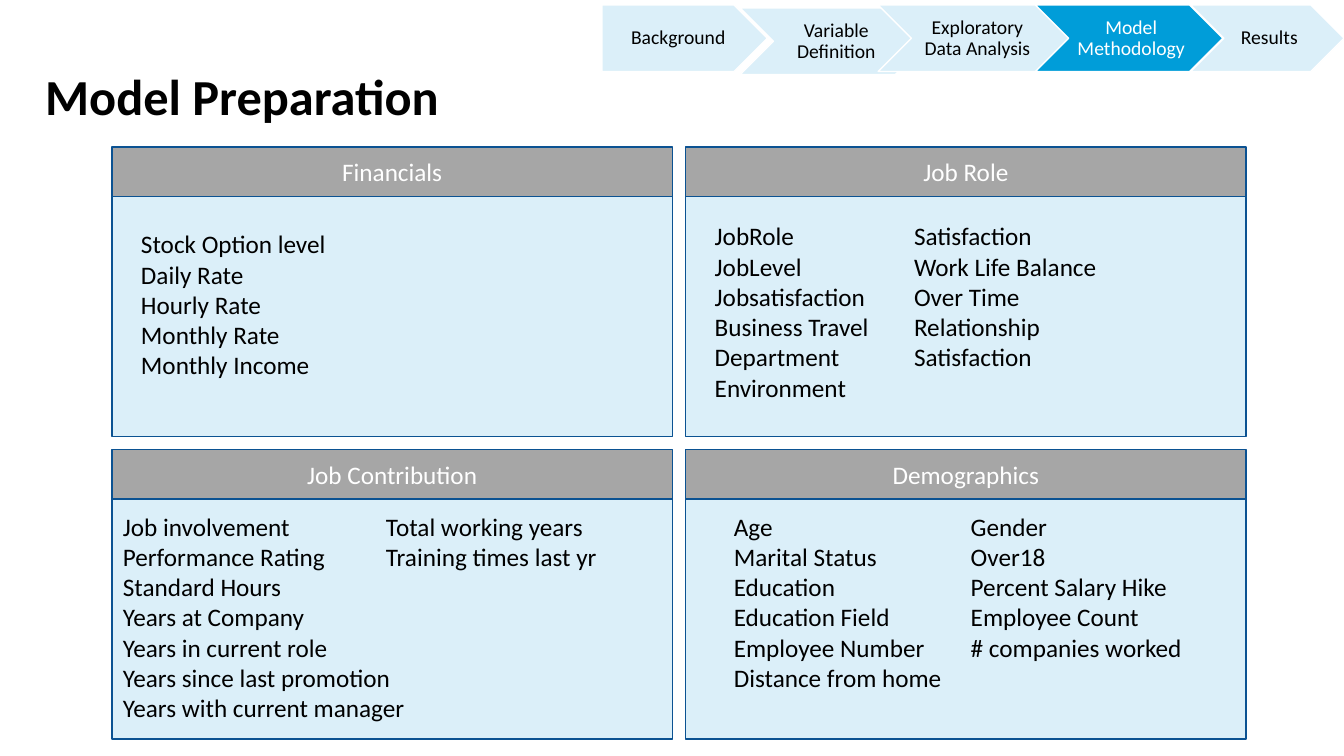
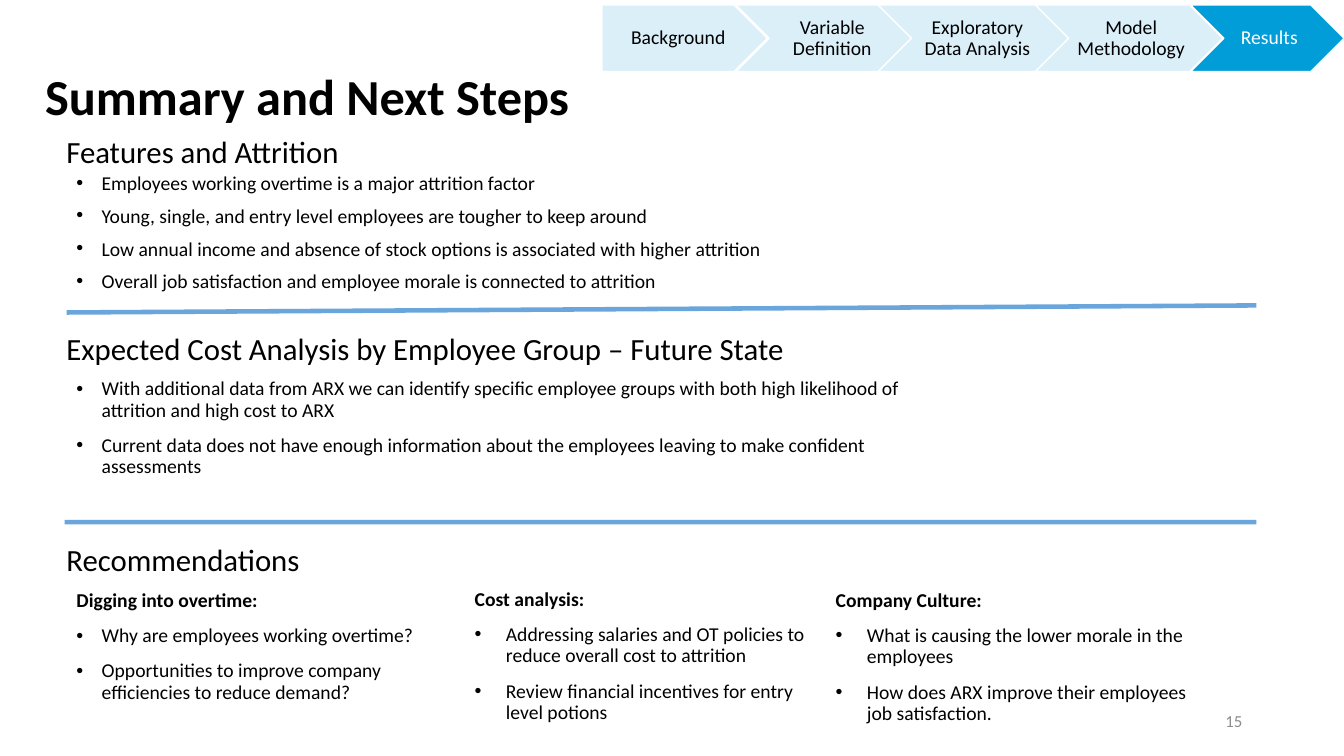
from lxml import etree
from pptx import Presentation
from pptx.dml.color import RGBColor
from pptx.enum.shapes import MSO_CONNECTOR as Connector, MSO_SHAPE as Preset
from pptx.enum.text import MSO_ANCHOR as Anchor, MSO_AUTO_SIZE as AutoSize, PP_ALIGN as Align
from pptx.oxml.ns import qn
from pptx.util import Inches, Pt

FONT = "Calibri"
BLACK = RGBColor(0x00, 0x00, 0x00)
WHITE = RGBColor(0xFF, 0xFF, 0xFF)
GREY = RGBColor(0xA6, 0xA6, 0xA6)
PAGE_GREY = RGBColor(0x8C, 0x8C, 0x8C)
PALE_BLUE = RGBColor(0xDB, 0xEF, 0xF9)
BRIGHT_BLUE = RGBColor(0x00, 0x9D, 0xD9)
BORDER_BLUE = RGBColor(0x0B, 0x52, 0x92)
RULE_BLUE = RGBColor(0x0F, 0x6F, 0xC6)

# Step label, left within the trail, width
STEPS = [
    ("Background", 0, 1.64),
    ("Variable Definition", 1.33, 1.87),
    ("Exploratory Data Analysis", 2.74, 1.93),
    ("Model Methodology", 4.3, 1.86),
    ("Results", 5.84, 1.52),
]

# Panel title, text box within the panel, tab stop, columns, lines
PANELS = [
    ("Financials", (0.19, 0.76, 3, 1.62), None, 1,
     ["Stock Option level", "Daily Rate", "Hourly Rate", "Monthly Rate", "Monthly Income"]),
    ("Job Role", (0.19, 0.68, 4.15, 1.99), None, 2,
     ["JobRole", "JobLevel", "Jobsatisfaction", "Business Travel", "Department",
      "Environment Satisfaction", "Work Life Balance", "Over Time",
      "Relationship Satisfaction"]),
    ("Job Contribution", (0.01, 0.56, 4.98, 2.22), 2.61, 1,
     ["Job involvement\tTotal working years", "Performance Rating\tTraining times last yr",
      "Standard Hours", "Years at Company", "Years in current role",
      "Years since last promotion", "Years with current manager"]),
    ("Demographics", (0.38, 0.56, 4.8, 1.92), 2.35, 1,
     ["Age\tGender", "Marital Status\tOver18", "Education\tPercent Salary Hike",
      "Education Field\tEmployee Count", "Employee Number\t# companies worked",
      "Distance from home"]),
]

FEATURES = [
    "Employees working overtime is a major attrition factor",
    "Young, single, and entry level employees are tougher to keep around",
    "Low annual income and absence of stock options is associated with higher attrition",
    "Overall job satisfaction and employee morale is connected to attrition",
]
COSTS = [
    "With additional data from ARX we can identify specific employee groups with both "
    "high likelihood of attrition and high cost to ARX",
    "Current data does not have enough information about the employees leaving to make "
    "confident assessments",
]
# Text box, bullet indent, lines with the bold lead first
RECOMMENDATIONS = [
    ((0.66, 5.81, 3.92, 1.32), 0.25,
     ["Digging into overtime:", "Why are employees working overtime?",
      "Opportunities to improve company efficiencies to reduce demand?"]),
    ((4.61, 5.8, 3.54, 1.44), 0.31,
     ["Cost analysis:",
      "Addressing salaries and OT policies to reduce overall cost to attrition",
      "Review financial incentives for entry level potions"]),
    ((8.19, 5.81, 3.7, 1.44), 0.31,
     ["Company Culture:", "What is causing the lower morale in the employees",
      "How does ARX improve their employees job satisfaction."]),
]


def inches(box):
    return [Inches(length) for length in box]


def write(shape, lines, size=18, color=BLACK, bold=False, lead=False, align=Align.LEFT,
          anchor=Anchor.TOP, spacing=1.0, before=0, indent=None, tab=None):
    """Fill a shape with paragraphs; lead makes the first one a bold line without bullet."""
    frame = shape.text_frame
    frame.word_wrap = True
    frame.vertical_anchor = anchor
    for index, line in enumerate(lines):
        para = frame.add_paragraph() if index else frame.paragraphs[0]
        is_lead = lead and index == 0
        props = para._p.get_or_add_pPr()
        if indent and not is_lead:
            props.set("marL", str(Inches(indent)))
            props.set("indent", str(-Inches(indent)))
            etree.SubElement(props, qn("a:buFont")).set("typeface", "Arial")
            etree.SubElement(props, qn("a:buChar")).set("char", "•")
        if tab:
            stop = etree.SubElement(etree.SubElement(props, qn("a:tabLst")), qn("a:tab"))
            stop.set("pos", str(Inches(tab)))
            stop.set("algn", "l")
        para.alignment = align
        para.line_spacing = spacing
        para.space_before = Pt(before if index else 0)
        span = para.add_run()
        span.text = line
        span.font.name = FONT
        span.font.size = Pt(size)
        span.font.bold = bold or is_lead
        span.font.color.rgb = color


def add_text(page, box, lines, **style):
    shape = page.shapes.add_textbox(*inches(box))
    write(shape, lines, **style)
    return shape


def add_block(page, preset, box, fill, line):
    shape = page.shapes.add_shape(preset, *inches(box))
    shape.shadow.inherit = False
    shape.fill.solid()
    shape.fill.fore_color.rgb = fill
    shape.line.color.rgb = line
    shape.line.width = Pt(1)
    return shape


def add_rule(page, start, end):
    rule = page.shapes.add_connector(Connector.STRAIGHT, *inches(start + end))
    rule.line.color.rgb = RULE_BLUE
    rule.line.width = Pt(3.25)
    color = rule.line._ln.find(".//" + qn("a:srgbClr"))
    etree.SubElement(color, qn("a:alpha")).set("val", "62000")
    etree.SubElement(rule._element.spPr, qn("a:effectLst"))


def add_trail(page, left, top, active, nudges):
    """Row of step arrows; nudges shifts single steps by (right, down)."""
    for index, (label, offset, width) in enumerate(STEPS):
        right, down = nudges.get(label, (0, 0))
        current = label == active
        step = add_block(page, Preset.CHEVRON if index else Preset.PENTAGON,
                         (left + offset + right, top + down, width, 0.66),
                         BRIGHT_BLUE if current else PALE_BLUE, WHITE)
        frame = step.text_frame
        frame.margin_left, frame.margin_right = Inches(0.06), Inches(0.02)
        frame.margin_top = frame.margin_bottom = Inches(0.04)
        write(step, [label], size=14, color=WHITE if current else BLACK,
              align=Align.CENTER, anchor=Anchor.MIDDLE, spacing=0.9)


def add_page(deck, title, active, nudges):
    """Blank page with the shared title and step trail."""
    page = deck.slides.add_slide(deck.slide_layouts[6])
    add_text(page, (0.35, 0.29, 11.5, 1.39), [title], size=36, bold=True,
             anchor=Anchor.MIDDLE, spacing=0.9)
    add_trail(page, 5.97, 0.05, active, nudges)
    return page


def add_panel(page, left, top, title, text_box, tab, columns, lines):
    add_block(page, Preset.RECTANGLE, (left, top + 0.49, 5.56, 2.38), PALE_BLUE, BORDER_BLUE)
    header = add_block(page, Preset.RECTANGLE, (left, top, 5.56, 0.49), GREY, BORDER_BLUE)
    write(header, [title], color=WHITE, align=Align.CENTER, anchor=Anchor.MIDDLE)
    across, down, width, height = text_box
    content = add_text(page, (left + across, top + down, width, height), lines, tab=tab)
    content.text_frame.auto_size = AutoSize.SHAPE_TO_FIT_TEXT
    if columns > 1:
        content.text_frame._txBody.bodyPr.set("numCol", str(columns))


def add_heading(page, top, text):
    add_text(page, (0.56, top, 7.88, 0.46), [text], size=22, spacing=0.9)


def build_preparation(deck):
    page = add_page(deck, "Model Preparation", "Model Methodology",
                    {"Variable Definition": (0.04, 0.03)})
    for index, panel in enumerate(PANELS):
        row, column = divmod(index, 2)
        add_panel(page, 1.11 + column * 5.69, 1.46 + row * 3, *panel)


def build_summary(deck):
    page = add_page(deck, "Summary and Next Steps", "Results", {})
    bullets = dict(size=14, before=10, indent=0.25)

    # Features
    add_heading(page, 1.31, "Features and Attrition")
    add_text(page, (0.66, 1.69, 8.14, 1.32), FEATURES, spacing=0.8, **bullets)
    add_rule(page, (12.46, 3.03), (0.66, 3.1))

    # Costs
    add_heading(page, 3.26, "Expected Cost Analysis by Employee Group – Future State")
    add_text(page, (0.66, 3.71, 8.43, 1.32), COSTS, spacing=0.9, **bullets)
    add_rule(page, (12.46, 5.18), (0.64, 5.18))

    # Recommendations
    add_heading(page, 5.36, "Recommendations")
    for box, indent, lines in RECOMMENDATIONS:
        add_text(page, box, lines, spacing=0.9, lead=True, **{**bullets, "indent": indent})

    # Page number
    add_text(page, (9.42, 6.95, 3, 0.4), ["15"], size=12, color=PAGE_GREY,
             align=Align.RIGHT, anchor=Anchor.MIDDLE)


def main():
    deck = Presentation()
    deck.slide_width, deck.slide_height = Inches(13.33), Inches(7.5)
    build_preparation(deck)
    build_summary(deck)
    deck.save("out.pptx")


if __name__ == "__main__":
    main()
